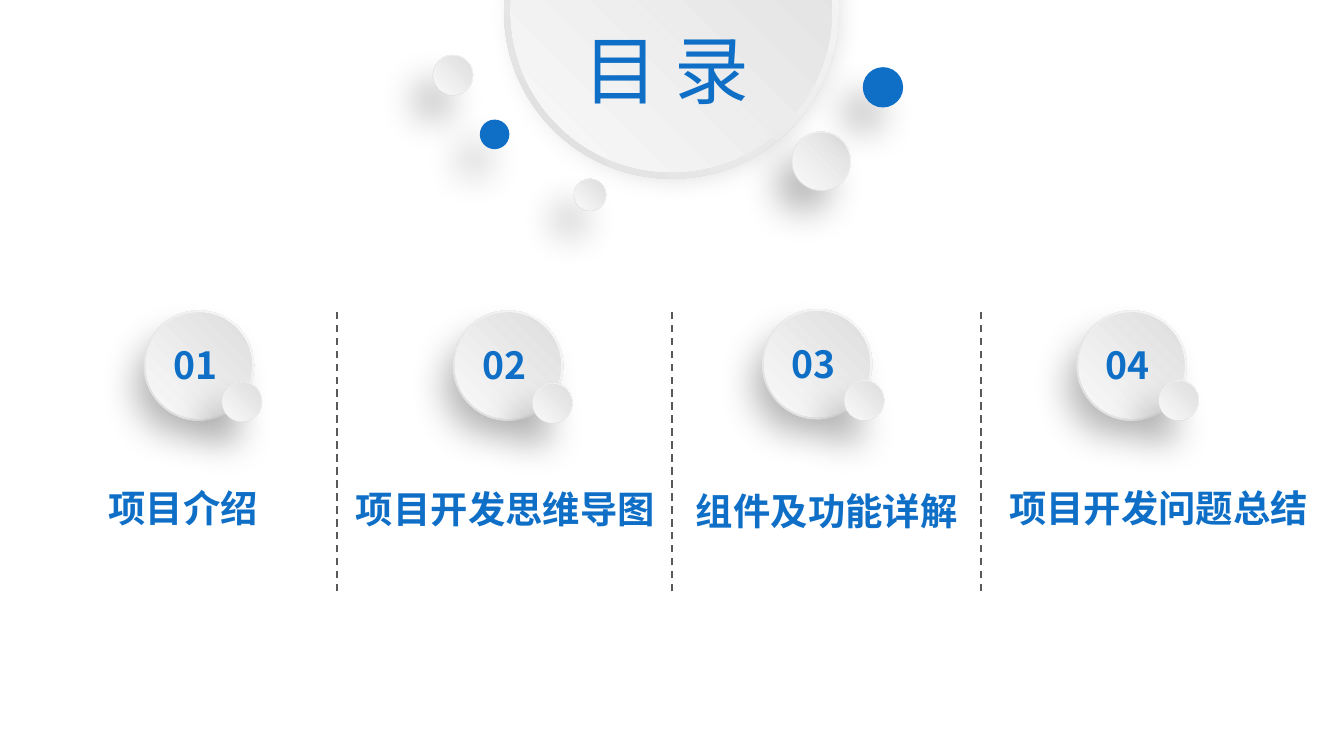
from pptx import Presentation
from pptx.dml.color import RGBColor
from pptx.enum.dml import MSO_LINE
from pptx.enum.shapes import MSO_CONNECTOR, MSO_SHAPE
from pptx.enum.text import MSO_AUTO_SIZE
from pptx.oxml import parse_xml
from pptx.oxml.ns import nsdecls, qn
from pptx.util import Inches, Pt
from lxml.etree import SubElement

FONT = "Noto Sans CJK SC"
BLUE, DASH = "0F6FC6", "595959"
RIM, FACE = ("FFFFFF", "D9D9D9"), ("D9D9D9", "FEFEFE")


def color(code):
    return RGBColor.from_string(code)


def shade(shape, first, last):
    """Fill with a radial gradient centred on the top right corner."""
    shape._element.spPr.insert(2, parse_xml(
        f'<a:gradFill {nsdecls("a")} rotWithShape="1"><a:gsLst>'
        f'<a:gs pos="0"><a:srgbClr val="{first}"/></a:gs>'
        f'<a:gs pos="100000"><a:srgbClr val="{last}"/></a:gs></a:gsLst>'
        '<a:path path="circle"><a:fillToRect l="100000" b="100000"/></a:path>'
        '</a:gradFill>'))


def cast(shape):
    """Add a soft, slightly smaller shadow to the lower left."""
    effects = shape._element.spPr.find(qn("a:effectLst"))
    effects.append(parse_xml(
        f'<a:outerShdw {nsdecls("a")} blurRad="{Pt(20)}" dist="{Pt(19)}" '
        f'dir="{130 * 60000}" sx="90000" sy="90000" algn="tr" '
        'rotWithShape="0">'
        '<a:srgbClr val="000000"><a:alpha val="30000"/></a:srgbClr>'
        '</a:outerShdw>'))


def disc(shapes, x, y, size, fill):
    """Draw one circle; fill is a hex string or a pair of gradient ends."""
    shape = shapes.add_shape(MSO_SHAPE.OVAL, Inches(x), Inches(y),
                             Inches(size), Inches(size))
    shape.rotation = 29.5
    shape.shadow.inherit = False
    shape.line.fill.background()
    if isinstance(fill, str):
        shape.fill.solid()
        shape.fill.fore_color.rgb = color(fill)
    else:
        shade(shape, *fill)
    return shape


def ball(slide, x, y, size, rim=RIM, face=FACE):
    """Group a shadowed rim with the slightly smaller face on it."""
    group = slide.shapes.add_group_shape()
    cast(disc(group.shapes, x, y, size, rim))
    inset = size * 0.02
    disc(group.shapes, x + inset, y + inset, size - 2 * inset, face)
    return group


def write(shapes, text, x, y, w, h, size, bold=None):
    box = shapes.add_textbox(Inches(x), Inches(y), Inches(w), Inches(h))
    frame = box.text_frame
    frame.word_wrap = True
    frame.auto_size = MSO_AUTO_SIZE.SHAPE_TO_FIT_TEXT
    run = frame.paragraphs[0].add_run()
    run.text = text
    run.font.size, run.font.bold = Pt(size), bold
    run.font.color.rgb = color(BLUE)
    run.font.name = FONT
    SubElement(run._r.get_or_add_rPr(), qn("a:ea"), typeface=FONT)


def header(slide, x, y):
    ball(slide, x + 0.53, y, 2.49)
    for dx, dy, size in ((0, 1.57, 0.3), (1.05, 2.49, 0.24), (2.67, 2.14, 0.44)):
        ball(slide, x + dx, y + dy, size)
    for dx, dy, size in ((3.2, 1.66, 0.3), (0.35, 2.05, 0.22)):
        ball(slide, x + dx, y + dy, size, BLUE, BLUE)
    write(slide.shapes, "目 录", x + 1.02, y + 1.29, 1.56, 0.77, 40)


def entry(slide, x, y, number, bead, title, left, top, width):
    """Place a numbered ball with its bead, and the title below."""
    group = ball(slide, x, y, 0.82)
    write(group.shapes, number, x + 0.12, y + 0.19, 0.58, 0.44, 20, True)
    dx, dy = bead
    ball(slide, x + dx, y + dy, 0.3)
    write(slide.shapes, title, x + left, y + top, width, 0.44, 20, True)


def divider(slide, x, top, height):
    line = slide.shapes.add_connector(
        MSO_CONNECTOR.STRAIGHT, Inches(x), Inches(top + height),
        Inches(x), Inches(top))
    line.line.color.rgb = color(DASH)
    line.line.width = Pt(1)
    line.line.dash_style = MSO_LINE.DASH
    SubElement(line._element.spPr, qn("a:effectLst"))


def main():
    deck = Presentation()
    deck.slide_width = Inches(10)
    deck.slide_height = deck.slide_width * 9 // 16
    slide = deck.slides.add_slide(deck.slide_layouts[6])
    header(slide, 3.22, -1.16)
    entries = (
        (1.07, 2.31, (0.58, 0.53), "项目介绍", -0.36, 1.25, 2.17),
        (3.37, 2.31, (0.59, 0.54), "项目开发思维导图", -0.82, 1.26, 2.47),
        (5.67, 2.3, (0.61, 0.53), "组件及功能详解", -0.59, 1.28, 2.17),
        (8.01, 2.31, (0.61, 0.52), "项目开发问题总结", -0.6, 1.25, 2.46),
    )
    for index, (x, y, bead, *title) in enumerate(entries, 1):
        entry(slide, x, y, f"{index:02}", bead, *title)
    for x in (2.51, 5, 7.3):
        divider(slide, x, 2.29, 2.11)
    deck.save("out.pptx")


if __name__ == "__main__":
    main()
